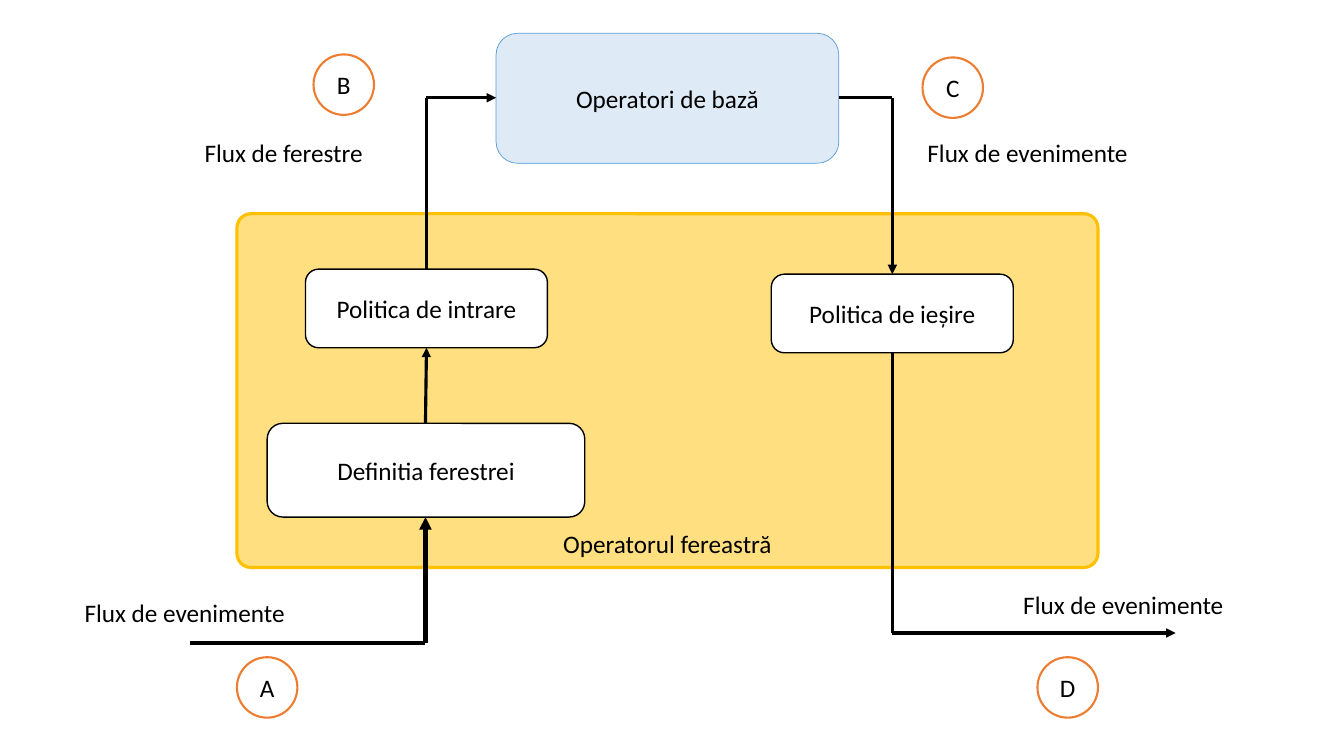
from dataclasses import dataclass
from lxml import etree
from pptx import Presentation
from pptx import util as u
from pptx.dml.color import RGBColor
from pptx.enum import shapes, text
from pptx.oxml.ns import qn


@dataclass(frozen=True)
class Theme:
    font: str = "Calibri"
    size: int = 18
    ink: str = "000000"
    white: str = "FFFFFF"
    gold: str = "FFC000"
    orange: str = "ED7D31"
    sky: str = "DEEBF7"
    blue: str = "5B9BD5"
    thin: float = 2.25
    thick: float = 3


T = Theme()
PX = 9144
WIDE, HIGH = 1333, 750
DISC = 60
LABEL_H = 40

ZONE = ("Operatorul fereastră", (235, 212, 854, 351))
DISCS = [("D", 1029, 652), ("C", 915, 57), ("B", 311, 54), ("A", 235, 652)]
BOXES = {
    "base": ("Operatori de bază", (492, 33, 340, 129), T.sky, T.blue, 0.5),
    "entry": ("Politica de intrare", (303, 267, 240, 78), T.white, T.ink, 1),
    "window": ("Definitia ferestrei", (265, 420, 315, 93), T.white, T.ink, 1),
    "exit": ("Politica de ieșire", (765, 272, 240, 78), T.white, T.ink, 1),
}
LABELS = [
    ("Flux de evenimente", 74, 588, 221),
    ("Flux de evenimente", 1005, 580, 221),
    ("Flux de evenimente", 910, 131, 221),
    ("Flux de ferestre", 193, 131, 179),
]
START, END = (188, 638), (1166, 628)


def site(name, side):
    x, y, w, h = BOXES[name][1]
    return {
        "top": (x + w // 2, y),
        "base": (x + w // 2, y + h),
        "left": (x, y + h // 2),
        "right": (x + w, y + h // 2),
    }[side]


def bend(start, end, flat):
    turn = (end[0], start[1]) if flat else (start[0], end[1])
    return [start, turn, end]


ROUTES = [
    (bend(START, site("window", "base"), True), T.thick),
    ([site("window", "top"), site("entry", "base")], T.thin),
    (bend(site("entry", "top"), site("base", "left"), False), T.thin),
    (bend(site("base", "right"), site("exit", "top"), True), T.thin),
    (bend(site("exit", "base"), END, False), T.thin),
]


def emu(vals):
    return [u.Emu(v * PX) for v in vals]


def rgb(code):
    return RGBColor.from_string(code)


def write(frame, words, align=None):
    para = frame.paragraphs[0]
    para.text = words
    para.alignment = align
    para.font.name = T.font
    para.font.size = u.Pt(T.size)
    para.font.color.rgb = rgb(T.ink)


def block(slide, kind, words, area, fill, line, width, anchor=text.MSO_ANCHOR.MIDDLE):
    shape = slide.shapes.add_shape(kind, *emu(area))
    shape.shadow.inherit = False
    shape.fill.solid()
    shape.fill.fore_color.rgb = rgb(fill)
    shape.line.color.rgb = rgb(line)
    shape.line.width = u.Pt(width)
    shape.text_frame.word_wrap = True
    shape.text_frame.vertical_anchor = anchor
    write(shape.text_frame, words, text.PP_ALIGN.CENTER)
    return shape


def label(slide, words, x, y, w):
    frame = slide.shapes.add_textbox(*emu((x, y, w, LABEL_H))).text_frame
    frame.word_wrap = False
    frame.auto_size = text.MSO_AUTO_SIZE.SHAPE_TO_FIT_TEXT
    write(frame, words)


def route(slide, points, width):
    home = slide.shapes
    if len(points) > 2:
        home = home.add_group_shape().shapes
    for start, end in zip(points, points[1:]):
        wire = home.add_connector(shapes.MSO_CONNECTOR.STRAIGHT, *emu(start + end))
        wire.line.color.rgb = rgb(T.ink)
        wire.line.width = u.Pt(width)
        etree.SubElement(wire._element.spPr, qn("a:effectLst"))
    etree.SubElement(wire.line._get_or_add_ln(), qn("a:tailEnd"), type="triangle")


def main():
    deck = Presentation()
    deck.slide_width, deck.slide_height = emu((WIDE, HIGH))
    slide = deck.slides.add_slide(deck.slide_layouts[6])
    kind = shapes.MSO_SHAPE

    words, area = ZONE
    zone = block(slide, kind.ROUNDED_RECTANGLE, words, area, T.gold, T.gold,
                 T.thin, text.MSO_ANCHOR.BOTTOM)
    zone.adjustments[0] = 0.04
    tint = zone._element.spPr.find(qn("a:solidFill"))[0]
    etree.SubElement(tint, qn("a:alpha"), val="50000")

    for mark, x, y in DISCS:
        block(slide, kind.OVAL, mark, (x, y, DISC, DISC), T.white, T.orange, 1.5)
    for box in BOXES.values():
        block(slide, kind.ROUNDED_RECTANGLE, *box)
    for item in LABELS:
        label(slide, *item)
    for points, width in ROUTES:
        route(slide, points, width)

    deck.save("out.pptx")


if __name__ == "__main__":
    main()
